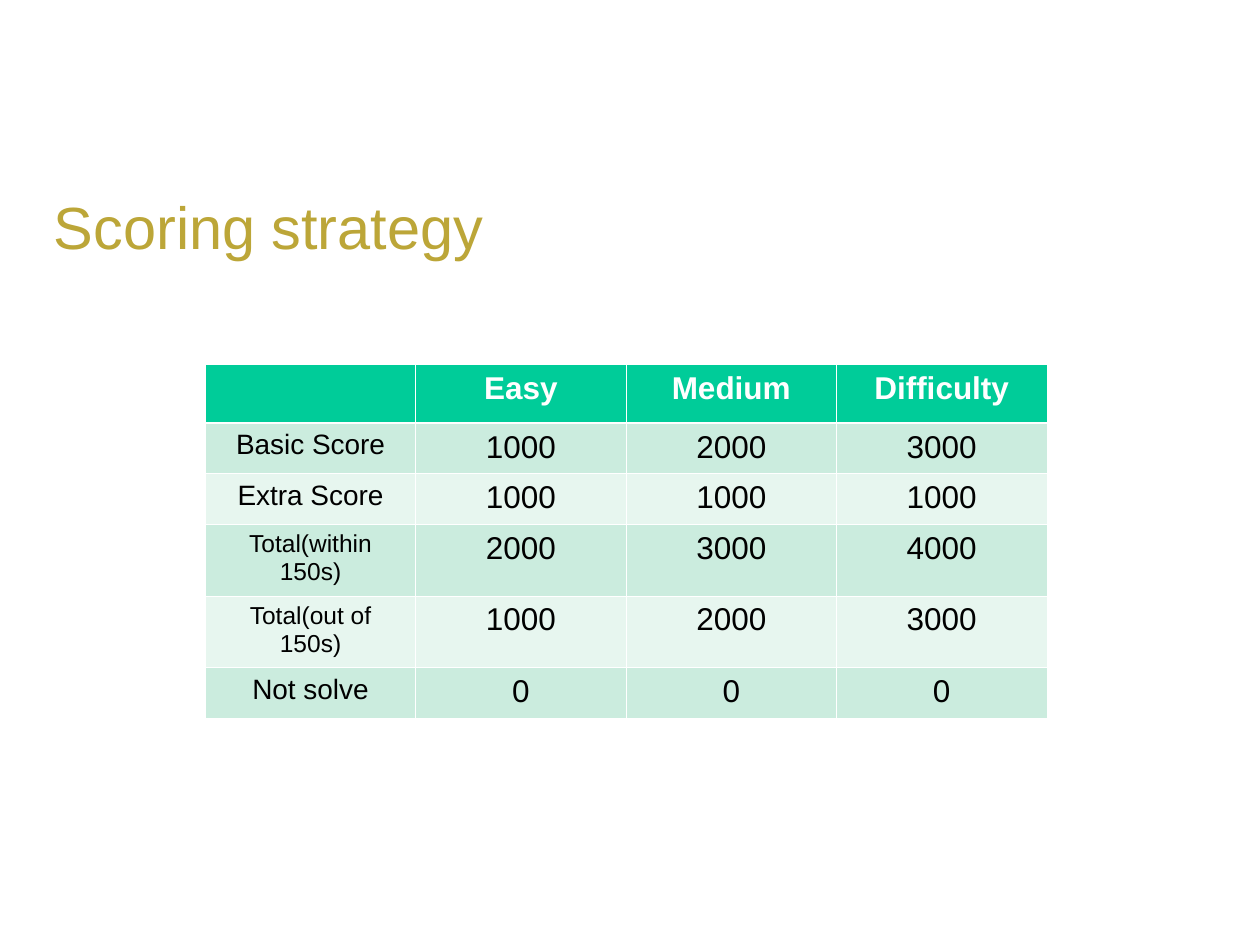
"""Build the scoring strategy slide with its score table."""
from dataclasses import dataclass

from lxml.etree import SubElement
from pptx import Presentation
from pptx.dml.color import RGBColor
from pptx.enum.text import MSO_ANCHOR, PP_ALIGN
from pptx.oxml.ns import qn
from pptx.util import Inches, Pt

WHITE = RGBColor(0xFF, 0xFF, 0xFF)
BLACK = RGBColor(0x00, 0x00, 0x00)
GOLD = RGBColor(0xBC, 0xA6, 0x38)
GREEN = RGBColor(0x00, 0xCC, 0x99)
MINT = RGBColor(0xCB, 0xEC, 0xDE)
PALE = RGBColor(0xE7, 0xF6, 0xEF)
THIN, THICK = 0.45, 1.47
WIDTH = 1.67


@dataclass
class Row:
    """One table row: its texts, height and label size."""

    texts: tuple[str, ...]
    high: float = 0.4
    size: int = 16


ROWS = [
    Row(("", "Easy", "Medium", "Difficulty"), 0.47, 18),
    Row(("Basic Score", "1000", "2000", "3000")),
    Row(("Extra Score", "1000", "1000", "1000")),
    Row(("Total(within 150s)", "2000", "3000", "4000"), 0.57, 14),
    Row(("Total(out of 150s)", "1000", "2000", "3000"), 0.57, 14),
    Row(("Not solve", "0", "0", "0")),
]


def write(para, text: str, color: RGBColor, **form) -> None:
    """Put text in a paragraph with the given font values."""
    run = para.add_run()
    run.text = text
    run.font.color.rgb = color
    for name, value in {"name": "Arial", **form}.items():
        setattr(run.font, name, value)


def edge(cell, side: str, width: float) -> None:
    """Draw one white border of a cell."""
    line = SubElement(cell._tc.get_or_add_tcPr(), qn(f"a:ln{side}"), w=str(Pt(width)))
    fill = SubElement(line, qn("a:solidFill"))
    SubElement(fill, qn("a:srgbClr"), val=str(WHITE))


def draw_cell(cell, text: str, size: int, num: int) -> None:
    """Fill, border and label one cell of row num."""
    head = num == 0
    widths = {
        "L": THIN,
        "R": THIN,
        "T": THICK if num == 1 else THIN,
        "B": THICK if head else THIN,
    }
    for side, width in widths.items():
        edge(cell, side, width)
    cell.fill.solid()
    cell.fill.fore_color.rgb = GREEN if head else MINT if num % 2 else PALE
    if text:
        para = cell.text_frame.paragraphs[0]
        para.alignment = PP_ALIGN.CENTER
        write(para, text, WHITE if head else BLACK, size=Pt(size), bold=head)


def draw_title(slide, text: str) -> None:
    """Add the slide heading."""
    box = slide.shapes.add_textbox(Inches(0.33), Inches(1.42), Inches(9.25), Inches(0.75))
    frame = box.text_frame
    for name, value in {"word_wrap": True, "vertical_anchor": MSO_ANCHOR.MIDDLE}.items():
        setattr(frame, name, value)
    write(frame.paragraphs[0], text, GOLD, size=Pt(34))


def draw_table(slide, rows: list[Row]) -> None:
    """Add the score table."""
    cols = len(rows[0].texts)
    high = sum(row.high for row in rows)
    table = slide.shapes.add_table(
        len(rows), cols, Inches(1.63), Inches(2.89), Inches(WIDTH * cols), Inches(high)
    ).table
    for num, row in enumerate(rows):
        table.rows[num].height = Inches(row.high)
        for col, text in enumerate(row.texts):
            draw_cell(table.cell(num, col), text, 18 if col else row.size, num)


def main() -> None:
    """Build and save the slide."""
    deck = Presentation()
    deck.slide_width, deck.slide_height = Inches(10), Inches(7.5)
    slide = deck.slides.add_slide(deck.slide_layouts[6])
    draw_title(slide, "Scoring strategy")
    draw_table(slide, ROWS)
    deck.save("out.pptx")


if __name__ == "__main__":
    main()
